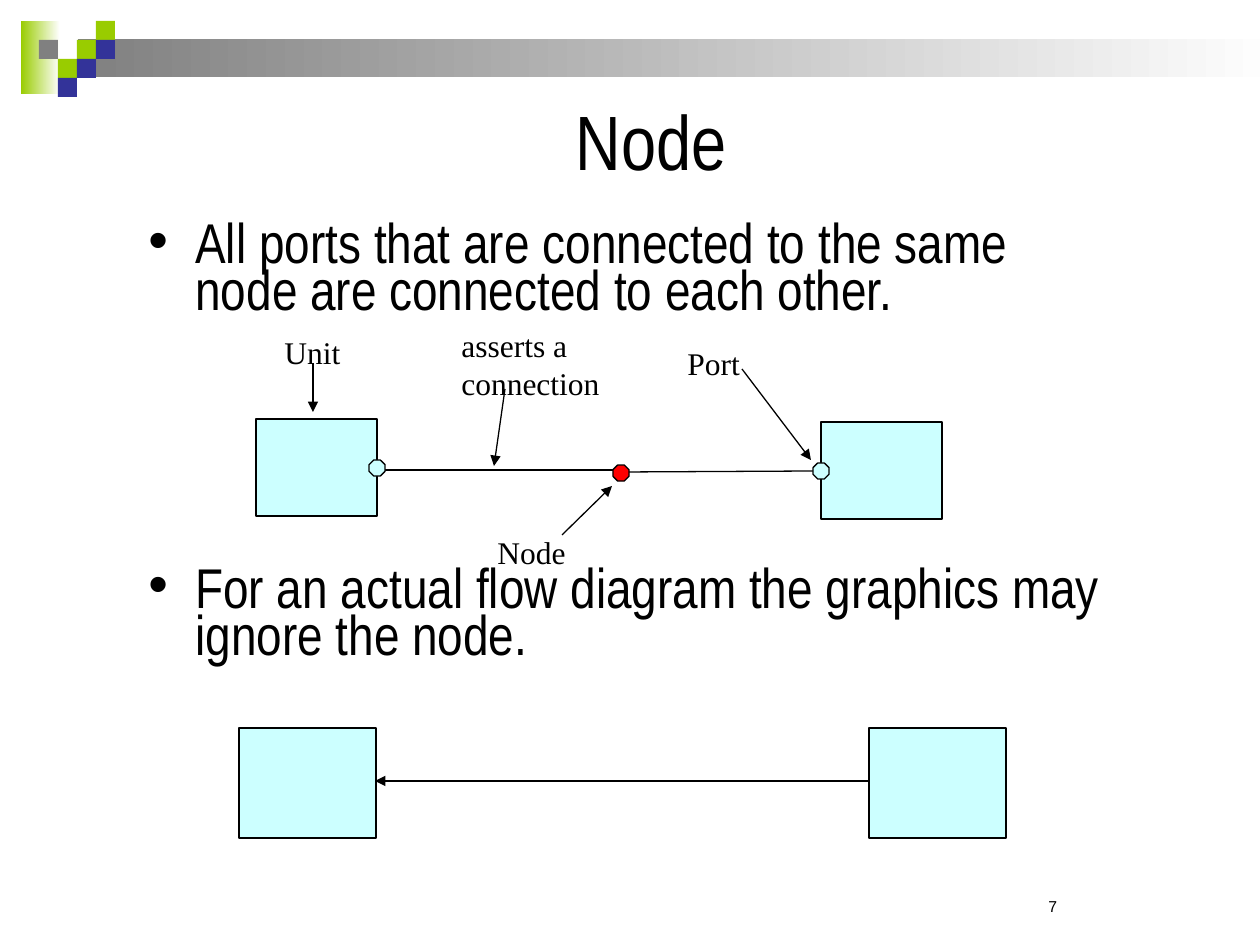
from lxml.etree import SubElement
from pptx import Presentation
from pptx.dml.color import RGBColor
from pptx.enum.shapes import MSO_CONNECTOR, MSO_SHAPE
from pptx.enum.text import MSO_ANCHOR, PP_ALIGN
from pptx.oxml.ns import qn
from pptx.util import Pt

SCALE = 914400 / 126
BLACK, GREEN, BLUE, GRAY = "000000", "99CC00", "333399", "808080"
CYAN, RED, WHITE = "CCFFFF", "FF0000", "FFFFFF"


def px(size):
    return round(size * SCALE)


def hue(code):
    return RGBColor.from_string(code)


def apply(item, form):
    for name, value in form.items():
        setattr(item, name, value)


def draw_shape(slide, kind, box, fill, edge=None):
    shape = slide.shapes.add_shape(kind, *map(px, box))
    shape.shadow.inherit = False
    if isinstance(fill, tuple):
        shape.fill.gradient()
        shape.fill.gradient_angle = 180
        for stop, code in zip(shape.fill.gradient_stops, fill):
            stop.color.rgb = hue(code)
    else:
        shape.fill.solid()
        shape.fill.fore_color.rgb = hue(fill)
    if edge:
        shape.line.color.rgb = hue(edge)
        shape.line.width = Pt(0.75)
    else:
        shape.line.fill.background()
    return shape


def draw_line(slide, start, end, arrow=False):
    line = slide.shapes.add_connector(
        MSO_CONNECTOR.STRAIGHT, *map(px, start + end))
    line.line.color.rgb = hue(BLACK)
    line.line.width = Pt(0.75)
    if arrow:
        SubElement(line.line._get_or_add_ln(), qn("a:tailEnd"), type="triangle")
    SubElement(line._element.spPr, qn("a:effectLst"))


def add_text(slide, box, texts, font, size, frame=None, para=None):
    area = slide.shapes.add_textbox(*map(px, box)).text_frame
    apply(area, {"word_wrap": True, **(frame or {})})
    area.text = "\n".join(texts)
    for item in area.paragraphs:
        apply(item, para or {})
        apply(item.font, {"name": font, "size": Pt(size)})
        item.font.color.rgb = hue(BLACK)
    return area


def add_dots(area, indent):
    for item in area.paragraphs:
        props = item._p.get_or_add_pPr()
        props.set("marL", str(px(indent)))
        props.set("indent", str(-px(indent)))
        SubElement(props, qn("a:buFont"), typeface="Arial")
        SubElement(props, qn("a:buChar"), char="•")


def draw_brand(slide):
    draw_shape(slide, MSO_SHAPE.RECTANGLE, (21, 21, 39, 73), (WHITE, GREEN))
    draw_shape(slide, MSO_SHAPE.RECTANGLE, (78, 39, 1203, 38), (WHITE, GRAY))
    cells = [(2, 1, GREEN), (3, 0, GREEN), (3, 1, BLUE), (1, 2, GREEN),
             (0, 1, GRAY), (2, 2, BLUE), (1, 3, BLUE)]
    side = 19
    for col, row, code in cells:
        box = (39 + side * col, 21 + side * row, side, side)
        draw_shape(slide, MSO_SHAPE.RECTANGLE, box, code)


def draw_unit(slide, box):
    draw_shape(slide, MSO_SHAPE.FLOWCHART_PROCESS, box, CYAN, BLACK)


def draw_port(slide, left, top, fill=CYAN):
    draw_shape(slide, MSO_SHAPE.OCTAGON, (left, top, 16, 16), fill, BLACK)


def draw_flow(slide):
    draw_line(slide, (629, 472), (819, 471))
    draw_line(slide, (374, 470), (629, 470))
    draw_port(slide, 613, 465, RED)
    for unit, port in [((821, 422, 121, 97), (813, 463)),
                       ((256, 419, 121, 97), (369, 460))]:
        draw_unit(slide, unit)
        draw_port(slide, *port)
    labels = [("asserts a connection", (449, 320, 186, 88), (505, 389), (494, 466)),
              ("Port", (675, 338, 81, 50), (742, 369), (811, 460)),
              ("Node", (485, 527, 105, 50), (562, 535), (612, 486)),
              ("Unit", (272, 327, 95, 50), (313, 363), (313, 412))]
    for text, box, start, end in labels:
        add_text(slide, box, [text], "Times New Roman", 18)
        draw_line(slide, start, end, True)


def draw_pair(slide):
    draw_line(slide, (877, 781), (375, 781), True)
    for left in (869, 239):
        draw_unit(slide, (left, 728, 137, 110))


def main():
    deck = Presentation()
    apply(deck, {"slide_width": px(1260), "slide_height": px(945)})
    slide = deck.slides.add_slide(deck.slide_layouts[6])
    draw_brand(slide)
    add_text(slide, (1036, 891, 97, 32), ["7"], "Arial", 9)
    add_text(slide, (116, 84, 1071, 111), ["Node"], "Arial Narrow", 44,
             {"vertical_anchor": MSO_ANCHOR.MIDDLE},
             {"alignment": PP_ALIGN.CENTER})
    body = add_text(
        slide, (136, 220, 987, 655),
        ["All ports that are connected to the same node are connected to each other.",
         "For an actual flow diagram the graphics may ignore the node."],
        "Arial Narrow", 32, None, {"line_spacing": 0.7})
    body.paragraphs[1].space_before = Pt(143)
    add_dots(body, 47)
    draw_flow(slide)
    draw_pair(slide)
    deck.save("out.pptx")


if __name__ == "__main__":
    main()
